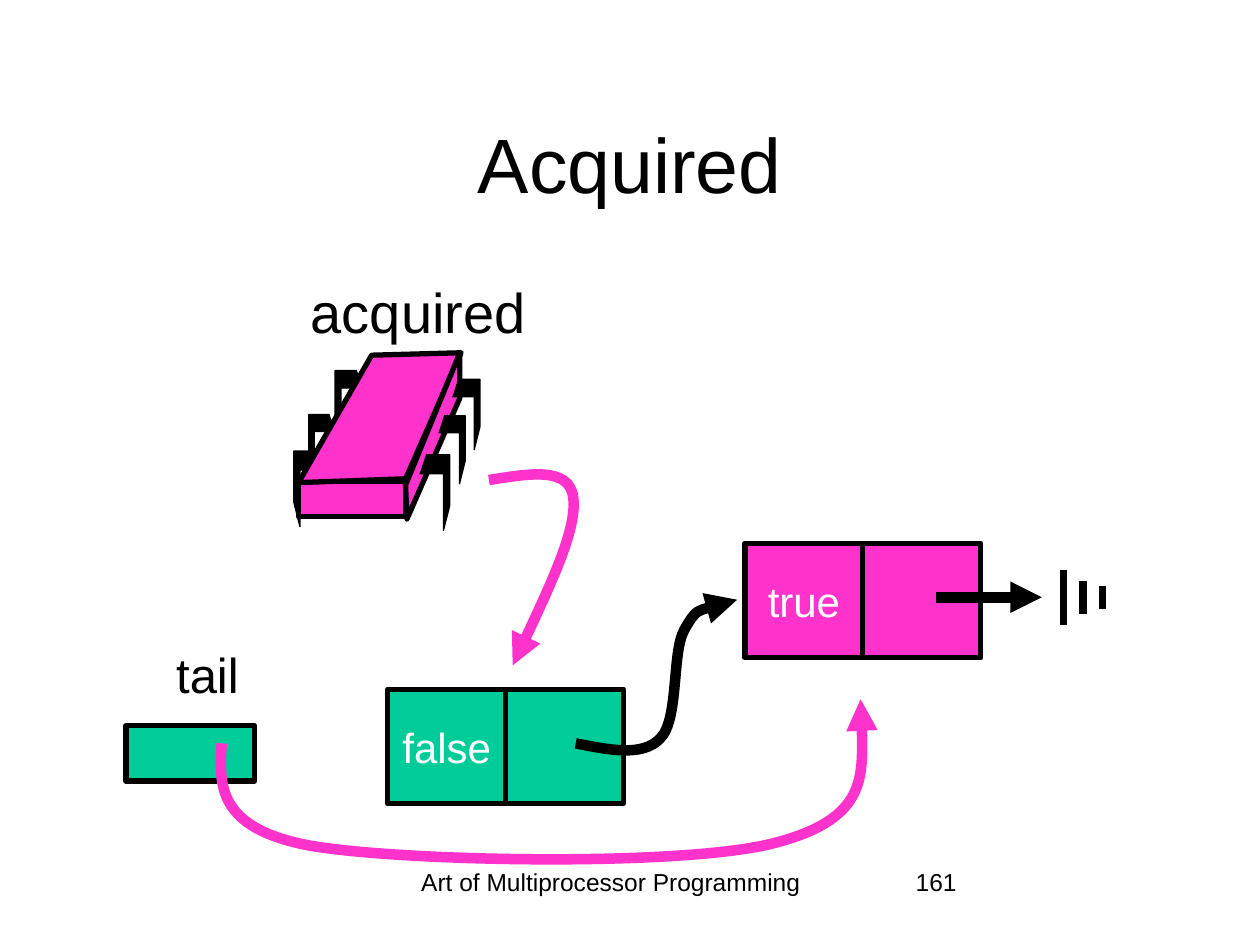
from lxml.etree import SubElement
from pptx import Presentation
from pptx.dml.color import RGBColor
from pptx.enum.shapes import MSO_CONNECTOR, MSO_SHAPE
from pptx.enum.text import MSO_ANCHOR, PP_ALIGN
from pptx.oxml.ns import qn
from pptx.util import Pt

BLACK = "000000"
WHITE = "FFFFFF"
GREEN = "00CC99"
PINK = "FF33CC"
CELL_WIDTH, CELL_HEIGHT = 67.4, 65.5
LEG_PROFILE = [(0.79, 0), (0, 0), (0, 0.67), (0.21, 1), (0.21, 0.25), (1, 0.25)]


def color(value):
    return RGBColor.from_string(value)


def fill_shape(shape, value):
    shape.fill.solid()
    shape.fill.fore_color.rgb = color(value)


def set_line(shape, value, width):
    shape.line.color.rgb = color(value)
    shape.line.width = Pt(width)


def add_arrowhead(shape):
    SubElement(shape.line._get_or_add_ln(), qn("a:tailEnd"), type="triangle")


def write_text(shape, text, size=24, value=BLACK, align=PP_ALIGN.CENTER,
               anchor=MSO_ANCHOR.TOP, wrap=True):
    frame = shape.text_frame
    frame.word_wrap = wrap
    frame.vertical_anchor = anchor
    paragraph = frame.paragraphs[0]
    paragraph.text = text
    paragraph.alignment = align
    paragraph.font.name = "Arial"
    paragraph.font.size = Pt(size)
    paragraph.font.color.rgb = color(value)


def add_text(slide, text, left, top, width, height, **text_format):
    box = slide.shapes.add_textbox(Pt(left), Pt(top), Pt(width), Pt(height))
    write_text(box, text, **text_format)


def add_box(slide, left, top, width, height, fill):
    shape = slide.shapes.add_shape(
        MSO_SHAPE.RECTANGLE, Pt(left), Pt(top), Pt(width), Pt(height))
    shape.shadow.inherit = False
    fill_shape(shape, fill)
    set_line(shape, BLACK, 3)
    return shape


def add_node(slide, left, top, label, fill):
    flag = add_box(slide, left, top, CELL_WIDTH, CELL_HEIGHT, fill)
    write_text(flag, label, value=WHITE, anchor=MSO_ANCHOR.MIDDLE, wrap=False)
    add_box(slide, left + CELL_WIDTH, top, CELL_WIDTH, CELL_HEIGHT, fill)


def add_line(slide, start, end, width):
    connector = slide.shapes.add_connector(
        MSO_CONNECTOR.STRAIGHT, *(Pt(value) for value in (*start, *end)))
    set_line(connector, BLACK, width)
    SubElement(connector._element.spPr, qn("a:effectLst"))
    return connector


def add_outline(slide, points, close):
    start, *others = [(Pt(x), Pt(y)) for x, y in points]
    builder = slide.shapes.build_freeform(*start)
    builder.add_line_segments(others, close=close)
    shape = builder.convert_to_shape()
    shape.shadow.inherit = False
    return shape


def add_face(slide, points):
    face = add_outline(slide, points, close=True)
    fill_shape(face, PINK)
    set_line(face, BLACK, 3)


def add_leg(slide, left, top, width, height, mirrored=False):
    points = [(left + width * (1 - x if mirrored else x), top + height * y)
              for x, y in LEG_PROFILE]
    leg = add_outline(slide, points, close=False)
    fill_shape(leg, BLACK)
    set_line(leg, BLACK, 0.75)


def add_curved_arrow(slide, points, value):
    arrow = add_outline(slide, points, close=False)
    segments = list(arrow._element.iter(qn("a:lnTo")))
    for index in range(0, len(segments), 3):
        curve = SubElement(segments[index].getparent(), qn("a:cubicBezTo"))
        for segment in segments[index:index + 3]:
            curve.append(segment[0])
            segment.getparent().remove(segment)
    arrow.fill.background()
    set_line(arrow, value, 6)
    add_arrowhead(arrow)


def add_thread_chip(slide):
    add_box(slide, 170.6, 275, 61.2, 20.2, PINK)
    leg_sizes = [(17.2, 43.2), (15.2, 38.9), (15.8, 40.3)]
    left_legs = [(167.8, 257.8), (176.4, 236.9), (191.5, 211.7)]
    right_legs = [(239.8, 259.9), (250.6, 237.6), (258.5, 216.7)]
    for place, size in zip(left_legs, leg_sizes):
        add_leg(slide, *place, *size)
    add_face(slide, [(170.6, 275.8), (231.8, 273.6), (263.5, 201.6), (212.4, 203)])
    add_face(slide, [(262.8, 201.6), (262.8, 227.5), (232.6, 296.6), (231.8, 277.2)])
    for place, size in zip(right_legs, leg_sizes):
        add_leg(slide, *place, *size, mirrored=True)


def add_null_link(slide, center):
    add_arrowhead(add_line(slide, (535, center), (595.4, center), 6))
    for x, height in [(607.7, 31.6), (618.8, 18.8), (630, 13)]:
        add_line(slide, (x, center - height / 2), (x, center + height / 2), 4.5)


def main():
    presentation = Presentation()
    presentation.slide_width = Pt(720)
    presentation.slide_height = Pt(540)
    slide = presentation.slides.add_slide(presentation.slide_layouts[6])

    add_text(slide, "Art of Multiprocessor Programming", 208, 491.8, 282.2, 36, size=14)
    add_text(slide, "161", 516.2, 491.8, 149.8, 36, size=14, align=PP_ALIGN.LEFT)
    add_text(slide, "Acquired", 54, 48, 612, 90, size=44, anchor=MSO_ANCHOR.MIDDLE)

    add_box(slide, 72, 414.7, 73.4, 31.7, GREEN)
    add_text(slide, "tail", 93.6, 365, 66.2, 41, size=28, align=PP_ALIGN.LEFT)
    add_node(slide, 221.6, 393.8, "false", GREEN)
    add_node(slide, 425.7, 310.4, "true", PINK)
    add_null_link(slide, 341.3)

    add_thread_chip(slide)
    add_text(slide, "acquired", 168.5, 154.8, 141.1, 45.4, size=32)

    add_curved_arrow(slide, [
        (279.4, 274.3), (302.4, 270.7), (325.4, 266.4), (327.6, 284.4),
        (329.8, 301.7), (311.8, 340.6), (293, 380.2)], PINK)
    add_curved_arrow(slide, [
        (126.7, 424.8), (125.3, 448.6), (123.8, 473), (176.4, 483.1),
        (229, 492.5), (391, 495.4), (442.8, 481.7),
        (495.4, 468), (493.9, 433.4), (491.8, 399.6)], PINK)
    add_curved_arrow(slide, [
        (329, 424.8), (347.8, 428.4), (367.2, 432.7), (377.3, 421.9),
        (388.1, 411.1), (383.8, 373), (391, 360),
        (398.2, 347), (409.7, 344.9), (421.2, 342.7)], BLACK)

    presentation.save("out.pptx")


if __name__ == "__main__":
    main()
